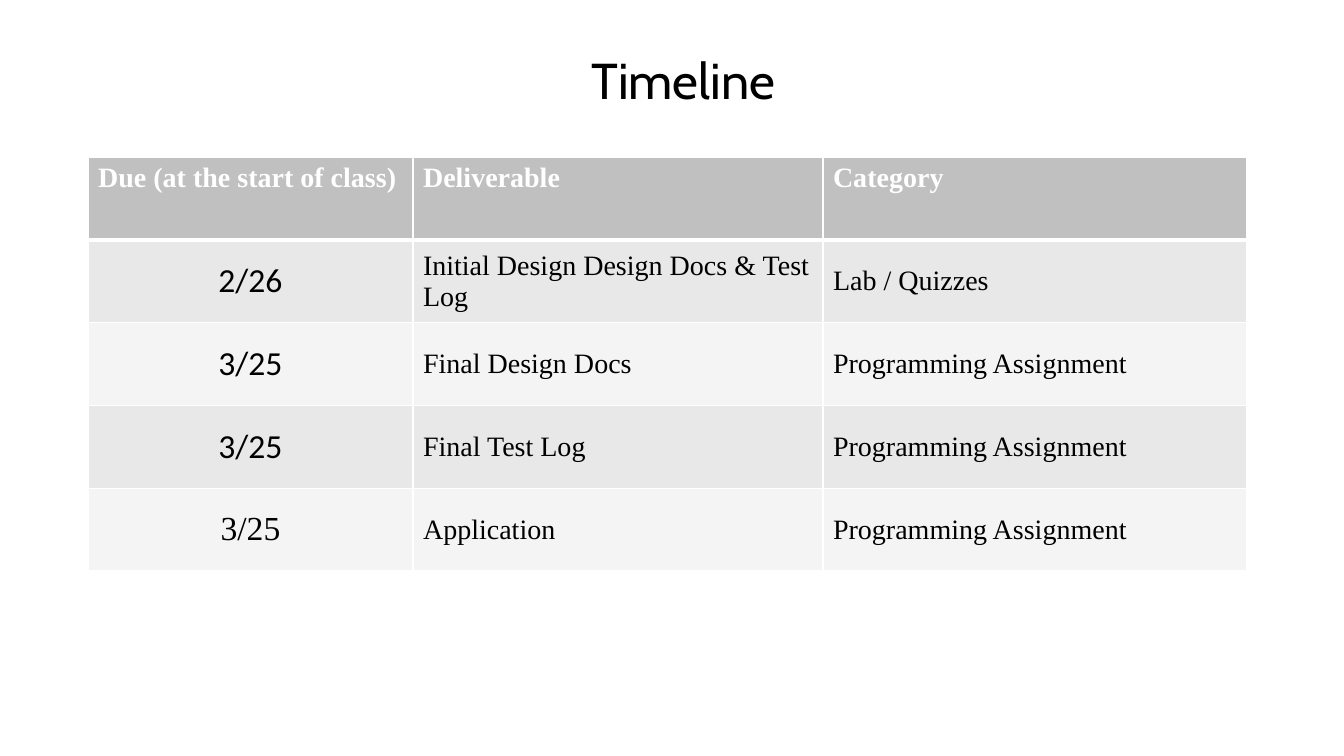
"""Build the project timeline slide: a title and a table of deliverables."""
from lxml.etree import fromstring
from pptx import Presentation
from pptx.dml.color import RGBColor
from pptx.enum.text import MSO_ANCHOR, PP_ALIGN
from pptx.util import Emu, Pt

TITLE = "Timeline"
HEAD = ("Due (at the start of class)", "Deliverable", "Category")
ROWS = [
    ("2/26", "Initial Design Design Docs & Test Log", "Lab / Quizzes"),
    ("3/25", "Final Design Docs", "Programming Assignment"),
    ("3/25", "Final Test Log", "Programming Assignment"),
    ("3/25", "Application", "Programming Assignment"),
]
DATE_FONTS = ["Calibri", "Calibri", "Calibri", "Times New Roman"]
COLORS = {"text": "000000", "white": "FFFFFF", "head": "C0C0C0",
          "odd": "E8E8E8", "even": "F4F4F4"}
SIZE = (1344, 756)
TITLE_BOX = (90, 16, 1187, 126)
LEFT, TOP, HEIGHT = 88, 157, 414
WIDTHS = (325, 410, 424)
NS = "http://schemas.openxmlformats.org/drawingml/2006/main"


def px(num):
    return Emu(round(num * 914400 / 100.8))


def rgb(name):
    return RGBColor.from_string(COLORS[name])


def style(para, font, size, color, bold=False):
    para.font.name = font
    para.font.size = Pt(size)
    para.font.bold = bold
    para.font.color.rgb = rgb(color)


def edge(cell, widths):
    props = cell._tc.get_or_add_tcPr()
    for spot, (side, width) in enumerate(widths.items()):
        props.insert(spot, fromstring(
            f'<a:ln{side} xmlns:a="{NS}" w="{Pt(width)}"><a:solidFill>'
            f'<a:srgbClr val="{COLORS["white"]}"/></a:solidFill></a:ln{side}>'))


def add_title(slide):
    title = slide.shapes.title
    title.left, title.top, title.width, title.height = map(px, TITLE_BOX)
    title._element.spPr.append(fromstring(
        f'<a:prstGeom xmlns:a="{NS}" prst="roundRect"><a:avLst>'
        '<a:gd name="adj" fmla="val 0"/></a:avLst></a:prstGeom>'))
    title.text_frame.text = TITLE
    title.text_frame.vertical_anchor = MSO_ANCHOR.MIDDLE
    para = title.text_frame.paragraphs[0]
    para.alignment = PP_ALIGN.CENTER
    style(para, "Cabin", 36, "text")


def fill_cell(cell, text, row, col):
    cell.text = text
    cell.fill.solid()
    para = cell.text_frame.paragraphs[0]
    if row == 0:
        cell.fill.fore_color.rgb = rgb("head")
        style(para, "Times New Roman", 20, "white", True)
    else:
        cell.fill.fore_color.rgb = rgb("odd" if row % 2 else "even")
        cell.vertical_anchor = MSO_ANCHOR.MIDDLE
        if col == 0:
            para.alignment = PP_ALIGN.CENTER
            style(para, DATE_FONTS[row - 1], 24, "text")
        else:
            style(para, "Times New Roman", 20, "text")
    edge(cell, {"L": 1, "R": 1, "T": 3 if row == 1 else 1,
                "B": 3 if row == 0 else 1})


def add_grid(slide):
    lines = [HEAD, *ROWS]
    grid = slide.shapes.add_table(len(lines), len(HEAD), px(LEFT), px(TOP),
                                  px(sum(WIDTHS)), px(HEIGHT)).table
    for col, width in zip(grid.columns, WIDTHS):
        col.width = px(width)
    for row, line in enumerate(lines):
        grid.rows[row].height = px(HEIGHT / len(lines))
        for col, text in enumerate(line):
            fill_cell(grid.cell(row, col), text, row, col)


def main():
    deck = Presentation()
    deck.slide_width, deck.slide_height = map(px, SIZE)
    slide = deck.slides.add_slide(deck.slide_layouts[5])
    add_grid(slide)
    add_title(slide)
    deck.save("out.pptx")


if __name__ == "__main__":
    main()
